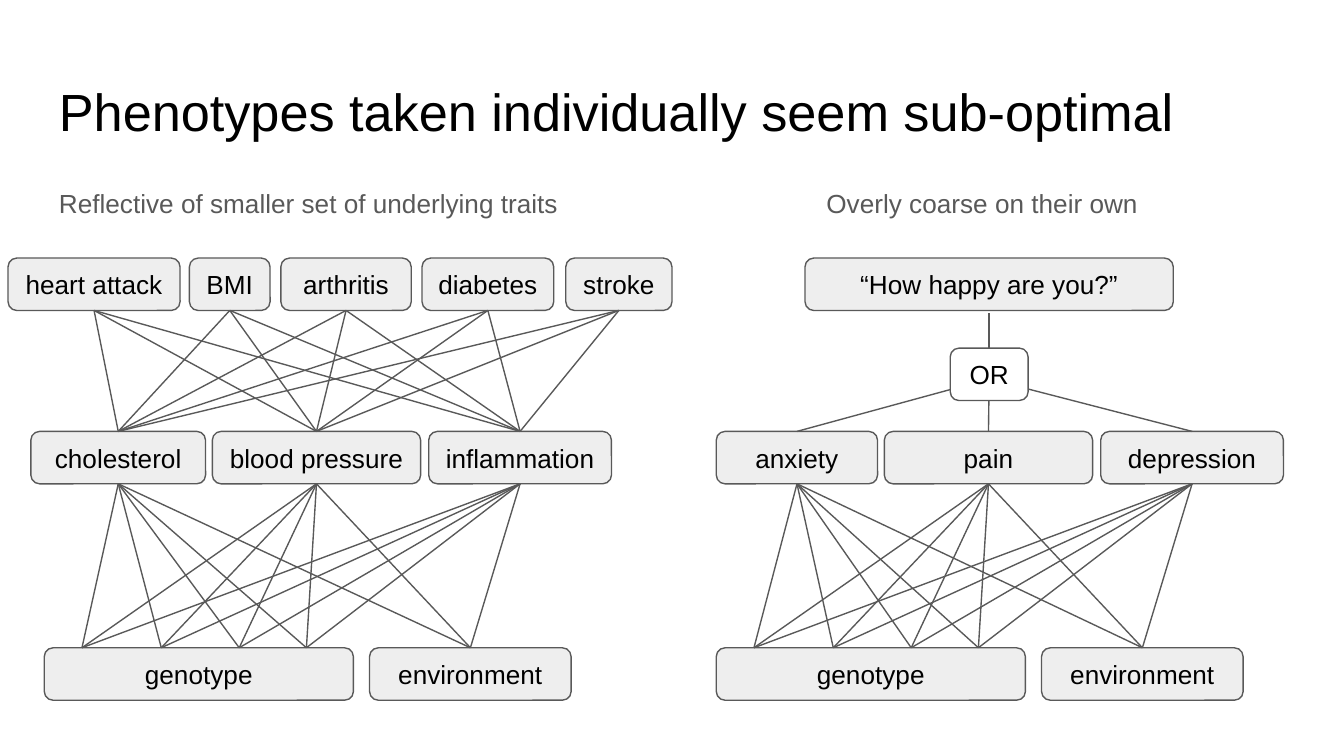
from itertools import product

from lxml.etree import SubElement
from pptx import Presentation
from pptx.dml.color import RGBColor
from pptx.enum.shapes import MSO_CONNECTOR, MSO_SHAPE
from pptx.enum.text import MSO_ANCHOR, PP_ALIGN
from pptx.oxml.ns import qn
from pptx.util import Inches, Pt

BLACK, GREY, PALE, WHITE = "000000", "595959", "EEEEEE", "FFFFFF"
BOX_H = 0.39
TOP_Y, OR_Y, MID_Y, ROOT_Y = 1.92, 2.59, 3.21, 4.82
RIGHT_X = 5  # the right diagram starts half a slide across

TITLE = ("Phenotypes taken individually seem sub-optimal", 0.34, 0.49, 9.32, 0.63)
SUBTITLES = [
    ("Reflective of smaller set of underlying traits", 0.34, 1.26, 4.37, BOX_H),
    ("Overly coarse on their own", 6.05, 1.26, 2.59, BOX_H),
]

# Each row of boxes: (label, left, width)
DISEASES = [("heart attack", 0.06, 1.28), ("BMI", 1.41, 0.6),
            ("arthritis", 2.09, 0.97), ("diabetes", 3.14, 0.98),
            ("stroke", 4.21, 0.79)]
TRAITS = [("cholesterol", 0.23, 1.3), ("blood pressure", 1.58, 1.55),
          ("inflammation", 3.19, 1.36)]
MOODS = [("anxiety", 5.33, 1.2), ("pain", 6.58, 1.55), ("depression", 8.19, 1.36)]
QUESTION = [("“How happy are you?”", 5.99, 2.74)]
GATE = [("OR", 7.07, 0.58)]
ROOTS = [("genotype", 0.33, 2.3), ("environment", 2.75, 1.5)]
ROOT_PORTS = [0.61, 1.2, 1.78, 2.28, 3.5]  # four on genotype, one on environment


def rgb(color):
    return RGBColor.from_string(color)


def write(s, text, size=14, color=BLACK, align=PP_ALIGN.CENTER,
          anchor=MSO_ANCHOR.MIDDLE, spacing=None, after=None):
    tf = s.text_frame
    tf.word_wrap = True
    tf.vertical_anchor = anchor
    tf.margin_left = tf.margin_right = tf.margin_top = tf.margin_bottom = Inches(0.1)
    p = tf.paragraphs[0]
    p.alignment = align
    if spacing:
        p.line_spacing = spacing
    if after:
        p.space_after = Pt(after)
    r = p.add_run()
    r.text = text
    r.font.name, r.font.size = "Arial", Pt(size)
    r.font.color.rgb = rgb(color)


def add_heading(shapes, text, *place, **style):
    s = shapes.add_textbox(*map(Inches, place))
    write(s, text, align=PP_ALIGN.LEFT, anchor=MSO_ANCHOR.TOP, **style)


def add_row(shapes, boxes, y, fill=PALE):
    """Draw a row of boxes and return their centre positions."""
    for label, x, w in boxes:
        s = shapes.add_shape(MSO_SHAPE.ROUNDED_RECTANGLE,
                             *map(Inches, (x, y, w, BOX_H)))
        s.shadow.inherit = False
        s.fill.solid()
        s.fill.fore_color.rgb = rgb(fill)
        s.line.color.rgb = rgb(GREY)
        s.line.width = Pt(0.75)
        write(s, label)
    return [x + w / 2 for _, x, w in boxes]


def link_all(shapes, starts, y1, ends, y2):
    """Join every start to every end."""
    for x2, x1 in product(ends, starts):
        s = shapes.add_connector(MSO_CONNECTOR.STRAIGHT,
                                 *map(Inches, (x1, y1, x2, y2)))
        s.line.color.rgb = rgb(GREY)
        s.line.width = Pt(0.75)
        SubElement(s._element.spPr, qn("a:effectLst"))


def add_base(shapes, middle, dx):
    """Draw the middle and root rows with their links; return middle centres."""
    add_row(shapes, [(label, x + dx, w) for label, x, w in ROOTS], ROOT_Y)
    centres = add_row(shapes, middle, MID_Y)
    link_all(shapes, [x + dx for x in ROOT_PORTS], ROOT_Y, centres, MID_Y + BOX_H)
    return centres


def main():
    prs = Presentation()
    prs.slide_width = Inches(10)
    prs.slide_height = prs.slide_width * 9 // 16
    shapes = prs.slides.add_slide(prs.slide_layouts[6]).shapes

    add_heading(shapes, *TITLE, size=28)
    for subtitle in SUBTITLES:
        add_heading(shapes, *subtitle, color=GREY, spacing=1.15, after=16)

    traits = add_base(shapes, TRAITS, 0)
    diseases = add_row(shapes, DISEASES, TOP_Y)
    link_all(shapes, traits, MID_Y, diseases, TOP_Y + BOX_H)

    moods = add_base(shapes, MOODS, RIGHT_X)
    question = add_row(shapes, QUESTION, TOP_Y)
    link_all(shapes, moods, MID_Y, question, 2.82)
    gate = add_row(shapes, GATE, OR_Y, fill=WHITE)
    link_all(shapes, gate, OR_Y, question, 2.33)

    prs.save("out.pptx")


if __name__ == "__main__":
    main()
